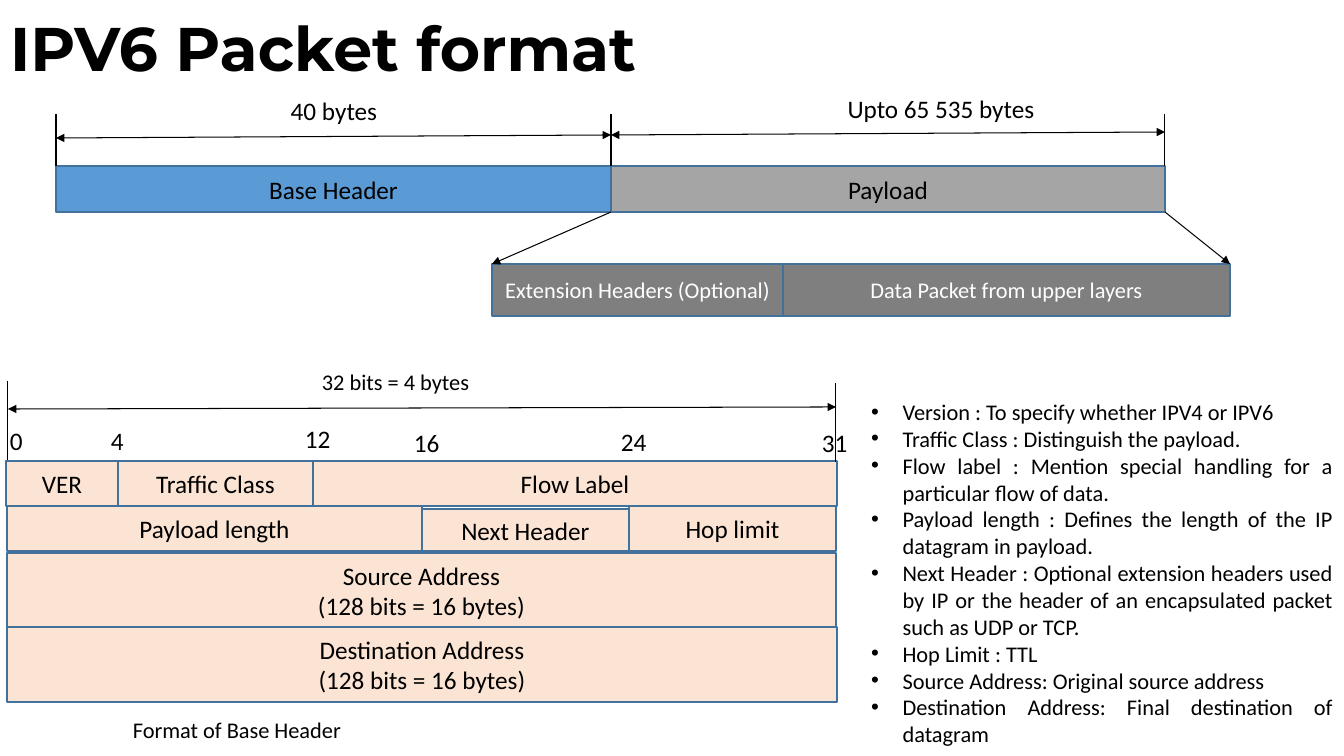
import dataclasses
import itertools

import pptx
import pptx.dml.color
import pptx.enum.shapes
import pptx.enum.text
import pptx.oxml
import pptx.oxml.ns
import pptx.util

ALIGN = pptx.enum.text.PP_ALIGN
ANCHOR = pptx.enum.text.MSO_ANCHOR
RGB = pptx.dml.color.RGBColor.from_string
PX = 914400 / 100.8


@dataclasses.dataclass(frozen=True)
class Theme:
    """Colours, fonts and type sizes of the slide."""
    ink: str = "000000"
    white: str = "FFFFFF"
    edge: str = "42719B"
    blue: str = "5B9BD5"
    gray: str = "A5A5A5"
    dark: str = "7F7F7F"
    peach: str = "FBE4D4"
    head: str = "Montserrat"
    font: str = "Calibri"
    title: int = 44
    big: int = 18
    small: int = 16


theme = Theme()


def write(shape, box, text, size, align, anchor=ANCHOR.TOP, color=theme.ink, font=theme.font):
    """Place a shape at a pixel box and fill it with styled text."""
    shape.left, shape.top, shape.width, shape.height = [round(n * PX) for n in box]
    frame = shape.text_frame
    frame.text = text
    frame.word_wrap = True
    frame.auto_size = pptx.enum.text.MSO_AUTO_SIZE.NONE
    frame.vertical_anchor = anchor
    for para in frame.paragraphs:
        para.alignment = align
        para.space_before = pptx.util.Pt(0)
        for run in para.runs:
            run.font.name = font
            run.font.size = pptx.util.Pt(size)
            run.font.color.rgb = RGB(color)


def link(start, end, tips=()):
    """Draw a thin line between two pixel points, with arrowheads at the tips."""
    line = slide.shapes.add_connector(
        pptx.enum.shapes.MSO_CONNECTOR.STRAIGHT, *[round(n * PX) for n in (*start, *end)])
    line.line.color.rgb = RGB(theme.ink)
    line.line.width = pptx.util.Pt(0.75)
    stroke = line.line._get_or_add_ln()
    for tip in tips:
        mark = pptx.oxml.ns.qn(f"a:{tip}")
        stroke.append(stroke.makeelement(mark, {"type": "triangle"}))
    props = line._element.spPr
    props.append(props.makeelement(pptx.oxml.ns.qn("a:effectLst"), {}))


deck = pptx.Presentation()
deck.slide_width = round(1344 * PX)
deck.slide_height = round(756 * PX)
slide = deck.slides.add_slide(deck.slide_layouts[1])

# Title
title = slide.shapes.title
write(title, (0, 0, 1117, 104), "IPV6 Packet format", theme.title, ALIGN.LEFT,
      ANCHOR.MIDDLE, font=theme.head)
title.text_frame.paragraphs[0].line_spacing = 0.9
title.text_frame.paragraphs[0].runs[0].font.bold = True

# Rows of boxes: top, height, edges, names, fills, type size, text colour
packet = (56, 611, 1165)
parts = (492, 783, 1230)
bits = "(128 bits = 16 bytes)"
rows = [
    (166, 46, packet, ["Base Header", "Payload"], [theme.blue, theme.gray], theme.big, theme.ink),
    (264, 52, parts, ["Extension Headers (Optional)", "Data Packet from upper layers"],
     [theme.dark] * 2, theme.small, theme.white),
    (461, 45, (6, 118, 313, 837), ["VER", "Traffic Class", "Flow Label"],
     [theme.peach] * 3, theme.big, theme.ink),
    (506, 45, (7, 422), ["Payload length"], [theme.peach], theme.big, theme.ink),
    (509, 42, (422, 629), ["Next Header"], [theme.peach], theme.big, theme.ink),
    (506, 45, (629, 836), ["Hop limit"], [theme.peach], theme.big, theme.ink),
    (553, 75, (7, 836), [f"Source Address\n{bits}"], [theme.peach], theme.big, theme.ink),
    (627, 75, (7, 837), [f"Destination Address\n{bits}"], [theme.peach], theme.big, theme.ink),
]
for top, high, edges, names, fills, size, color in rows:
    for (left, right), name, fill in zip(itertools.pairwise(edges), names, fills):
        rect = slide.shapes.add_shape(pptx.enum.shapes.MSO_SHAPE.RECTANGLE, 0, 0, 0, 0)
        rect.shadow.inherit = False
        rect.fill.solid()
        rect.fill.fore_color.rgb = RGB(fill)
        rect.line.color.rgb = RGB(theme.edge)
        rect.line.width = pptx.util.Pt(1)
        write(rect, (left, top, right - left, high), name, size,
              ALIGN.CENTER, ANCHOR.MIDDLE, color)

# Dimension lines and the split of the payload
both = ("headEnd", "tailEnd")
for x in packet:
    link((x, 166), (x, 114))
for (left, right), y in zip(itertools.pairwise(packet), (138, 135)):
    link((left, y), (right, y - 3), both)
for start, end in zip(packet[1:], (parts[0], parts[-1])):
    link((start, 212), (end, 264), ("tailEnd",))
for x, top in ((8, 381), (836, 383)):
    link((x, top), (x, top + 79))
link((8, 409), (836, 407), both)

# Labels and bit numbers
ticks = [("0", 0, 420), ("4", 101, 420), ("12", 295, 418),
         ("16", 404, 422), ("24", 611, 421), ("31", 812, 422)]
labels = [
    ("40 bytes", (239, 90, 190, 35), theme.big, ALIGN.CENTER),
    ("Upto 65 535 bytes", (793, 88, 296, 35), theme.big, ALIGN.CENTER),
    ("32 bits = 4 bytes", (312, 363, 174, 37), theme.small, ALIGN.LEFT),
    ("Format of Base Header", (123, 711, 232, 37), theme.small, ALIGN.LEFT),
] + [(mark, (x, y, 48, 36), theme.big, ALIGN.LEFT) for mark, x, y in ticks]
for text, box, size, align in labels:
    write(slide.shapes.add_textbox(0, 0, 0, 0), box, text, size, align)

# Field notes
notes = [
    "Version : To specify whether IPV4 or IPV6",
    "Traffic Class : Distinguish the payload.",
    "Flow label : Mention special handling for a particular flow of data.",
    "Payload length : Defines the length of the IP datagram in payload.",
    "Next Header : Optional extension headers used by IP or the header of an "
    "encapsulated packet such as UDP or TCP.",
    "Hop Limit : TTL",
    "Source Address: Original source address",
    "Destination Address: Final destination of datagram",
]
body = slide.placeholders[1]
write(body, (861, 393, 482, 363), "\n".join(notes), theme.small, ALIGN.JUSTIFY)
indent = round(31.5 * PX)
for para in body.text_frame.paragraphs:
    props = para._p.get_or_add_pPr()
    props.set("marL", str(indent))
    props.set("indent", str(-indent))

deck.save("out.pptx")
